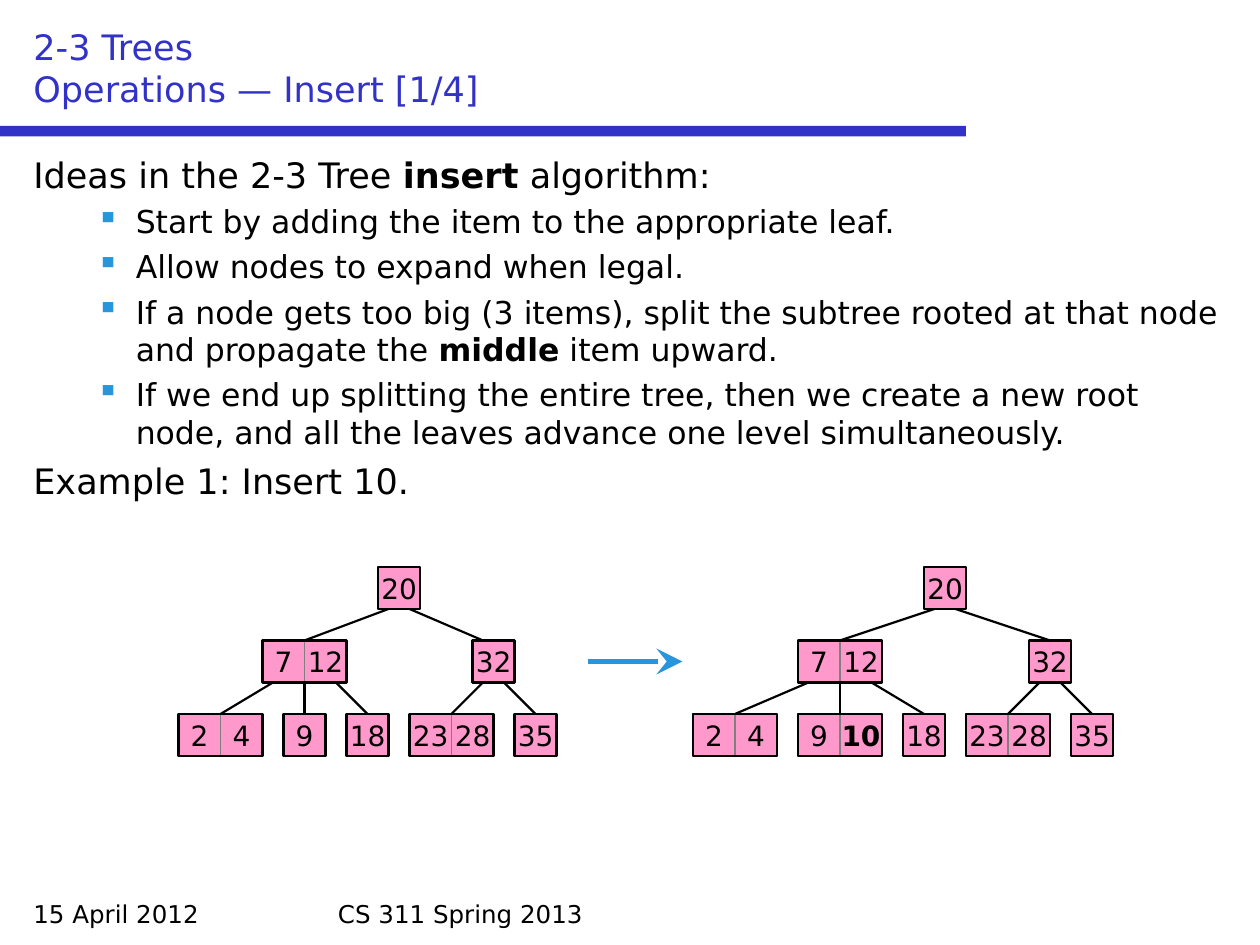
import dataclasses

import pptx
import pptx.dml.color
import pptx.enum.shapes
import pptx.enum.text
import pptx.oxml.ns
import pptx.util
from lxml import etree

Shape = pptx.enum.shapes.MSO_SHAPE
Anchor = pptx.enum.text.MSO_ANCHOR
Align = pptx.enum.text.PP_ALIGN
PX = 9525  # EMU in one px, 96 px to the inch


@dataclasses.dataclass(frozen=True)
class Theme:
    font: str = "DejaVu Sans"
    ink: str = "000000"
    title: str = "3232C8"
    accent: str = "2896DC"
    node: str = "FF99CC"
    split: str = "808080"
    head: int = 20
    item: int = 18
    key: int = 16
    foot: int = 14
    edge: float = 1.25
    thin: float = 0.75
    arrow: float = 3
    lead: float = 0.23  # space before, as a share of the type size


def rgb(code):
    return pptx.dml.color.RGBColor.from_string(code)


def child(parent, tag, **attrs):
    return etree.SubElement(parent, pptx.oxml.ns.qn(tag), **attrs)


class Board:
    CELL, GAP, RISE = 32, 16, 56  # key cell, gap of leaves, row pitch

    def __init__(self, slide, theme):
        self.slide, self.theme = slide, theme

    def style(self, para, size, color=None):
        font = para.font
        font.name, font.size = self.theme.font, pptx.util.Pt(size)
        font.color.rgb = rgb(color or self.theme.ink)

    def box(self, x, y, w, h):
        shape = self.slide.shapes.add_textbox(*(n * PX for n in (x, y, w, h)))
        shape.text_frame.word_wrap = True
        return shape.text_frame

    def label(self, text, area, size, color=None, anchor=Anchor.TOP):
        frame = self.box(*area)
        frame.vertical_anchor = anchor
        frame.text = text
        for para in frame.paragraphs:
            self.style(para, size, color)

    def body(self, area, items):
        """Items are (level, text); every second part between * is bold."""
        frame = self.box(*area)
        for i, (level, text) in enumerate(items):
            para = frame.add_paragraph() if i else frame.paragraphs[0]
            size = self.theme.item if level else self.theme.head
            left, hang = (78, 30) if level else (36, 36)
            para.level = level
            if i:
                para.space_before = pptx.util.Pt(size * self.theme.lead)
            props = para._p.get_or_add_pPr()
            props.set("marL", str(left * PX))
            props.set("indent", str(-hang * PX))
            if level:
                tint = child(props, "a:buClr")
                child(tint, "a:srgbClr", val=self.theme.accent)
                child(props, "a:buChar", char="▪")
            self.style(para, size)
            for j, part in enumerate(text.split("*")):
                run = para.add_run()
                run.text = part
                if j % 2:
                    run.font.bold = True

    def rect(self, x, y, w, h, fill=None, line=None, width=0):
        shape = self.slide.shapes.add_shape(
            Shape.RECTANGLE, *(n * PX for n in (x, y, w, h)))
        shape.shadow.inherit = False
        if fill:
            shape.fill.solid()
            shape.fill.fore_color.rgb = rgb(fill)
        else:
            shape.fill.background()
        if line:
            shape.line.color.rgb = rgb(line)
            shape.line.width = pptx.util.Pt(width)
        else:
            shape.line.fill.background()
        return shape

    def line(self, start, end, color, width, head=False):
        link = self.slide.shapes.add_connector(
            pptx.enum.shapes.MSO_CONNECTOR.STRAIGHT,
            *(n * PX for n in (*start, *end)))
        link.line.color.rgb = rgb(color)
        link.line.width = pptx.util.Pt(width)
        if head:
            child(link.line._get_or_add_ln(), "a:tailEnd",
                  type="stealth", w="lg", len="lg")
        child(link._element.spPr, "a:effectLst")
        return link

    def node(self, keys, mid, y, new):
        """Draw a node centred on mid; return the rectangle edges join."""
        t, cell = self.theme, self.CELL
        left, many = mid - cell * len(keys) // 2, len(keys) > 1
        for i, key in enumerate(keys):
            shape = self.rect(left + i * cell, y, cell, cell, t.node,
                              t.split if many else t.ink,
                              t.thin if many else t.edge)
            frame = shape.text_frame
            frame.word_wrap = False
            frame.margin_left = frame.margin_right = 0
            frame.margin_top = frame.margin_bottom = 0
            frame.vertical_anchor = Anchor.MIDDLE
            frame.text = key
            para = frame.paragraphs[0]
            para.alignment = Align.CENTER
            self.style(para, t.key)
            if key == new:
                para.font.bold = True
        if many:
            shape = self.rect(left, y, cell * len(keys), cell,
                              None, t.ink, t.edge)
        return shape

    def tree(self, root, x, y, new=None, shift=None):
        """Lay leaves out in a row and centre parents on their children.

        A node is (keys, children); shift moves an edge's end by node keys.
        """
        shift = shift or {}
        edge = x

        def place(node, top):
            nonlocal edge
            keys, kids = node[0].split(), node[1:]
            spots = [place(kid, top + self.RISE) for kid in kids]
            if kids:
                last = len(kids) - 1
                mid = (spots[last // 2][1] + spots[(last + 1) // 2][1]) // 2
            else:
                wide = self.CELL * len(keys)
                mid = edge + wide // 2
                edge += wide + self.GAP
            shape = self.node(keys, mid, top, new)
            starts = (-8, 8) if len(kids) == 2 else (-24, 0, 24)
            for kid, (spot, center), step in zip(kids, spots, starts):
                move = shift.get(kid[0], 0)
                link = self.line((mid + step, top + self.CELL),
                                 (center + move, top + self.RISE),
                                 self.theme.ink, self.theme.edge)
                if not step:
                    link.begin_connect(shape, 2)
                if not move:
                    link.end_connect(spot, 0)
            return shape, mid

        place(root, y)


def main():
    deck = pptx.Presentation()
    deck.slide_width, deck.slide_height = 960 * PX, 720 * PX
    theme = Theme()
    board = Board(deck.slides.add_slide(deck.slide_layouts[6]), theme)

    # Title, rule and footer
    board.rect(0, 96, 736, 8, theme.title)
    board.label("2-3 Trees\vOperations — Insert [1/4]", (16, 16, 928, 72),
                theme.head, theme.title, Anchor.BOTTOM)
    board.label("15 April 2012", (16, 680, 224, 32), theme.foot)
    board.label("CS 311 Spring 2013", (248, 680, 464, 32), theme.foot)

    # Body text
    board.body((16, 112, 928, 560), [
        (0, "Ideas in the 2-3 Tree *insert* algorithm:"),
        (1, "Start by adding the item to the appropriate leaf."),
        (1, "Allow nodes to expand when legal."),
        (1, "If a node gets too big (3 items), split the subtree rooted at "
            "that node and propagate the *middle* item upward."),
        (1, "If we end up splitting the entire tree, then we create a new "
            "root node, and all the leaves advance one level "
            "simultaneously."),
        (0, "Example 1: Insert 10."),
    ])

    # Trees before and after the insert
    def sample(leaf):
        return ("20", ("7 12", ("2 4",), (leaf,), ("18",)),
                ("32", ("23 28",), ("35",)))

    board.tree(sample("9"), 136, 432, shift={"32": -8})
    board.tree(sample("9 10"), 528, 432, new="10")
    board.line((448, 504), (520, 504), theme.accent, theme.arrow, head=True)

    deck.save("out.pptx")


if __name__ == "__main__":
    main()
